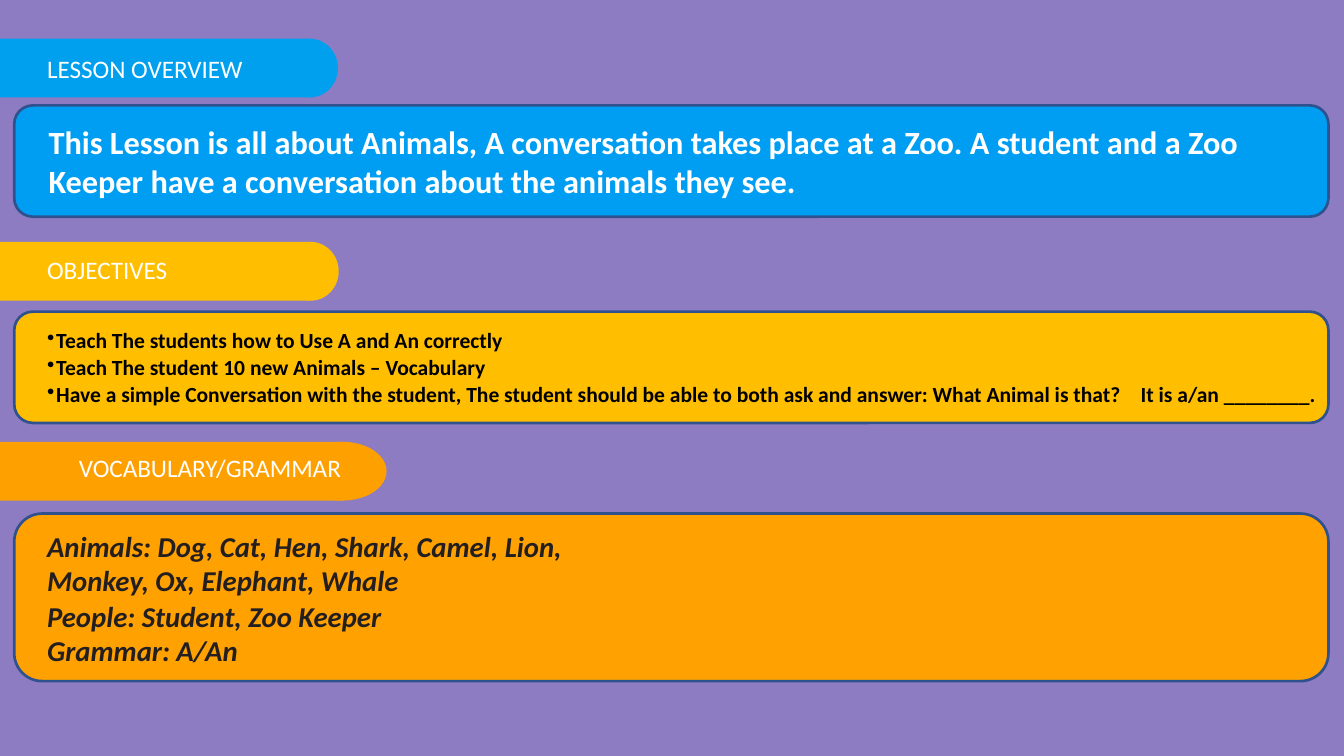
from lxml import etree
from pptx import Presentation
from pptx import util as u
from pptx.dml.color import RGBColor
from pptx.enum import shapes, text
from pptx.oxml import ns


def colour(value):
    return RGBColor.from_string(value)


class LessonSlide:
    font = "Calibri"
    background = "8E7CC3"
    border = "2F528F"
    white = "FFFFFF"

    def __init__(self, presentation):
        self.slide = presentation.slides.add_slide(presentation.slide_layouts[6])
        fill = self.slide.background.fill
        fill.solid()
        fill.fore_color.rgb = colour(self.background)

    def shape(self, kind, left, top, width, height, fill):
        shape = self.slide.shapes.add_shape(
            kind, u.Cm(left), u.Cm(top), u.Cm(width), u.Cm(height))
        shape.shadow.inherit = False
        shape.fill.solid()
        shape.fill.fore_color.rgb = colour(fill)
        shape.line.fill.background()
        return shape

    def panel(self, top, height, fill):
        panel = self.shape(shapes.MSO_SHAPE.ROUNDED_RECTANGLE, 0.56, top, 51.64, height, fill)
        panel.line.color.rgb = colour(self.border)
        panel.line.width = u.Pt(3)

    def tab(self, top, length, radius, fill):
        height = 2.31
        self.shape(shapes.MSO_SHAPE.RECTANGLE, 0, top, length, height, fill)
        self.shape(shapes.MSO_SHAPE.OVAL, length - radius, top, 2 * radius, height, fill)

    def bullet(self, paragraph, tint, tab_stop):
        properties = paragraph._p.get_or_add_pPr()
        properties.set("marL", str(u.Cm(0.36)))
        properties.set("indent", str(u.Cm(-0.43)))
        bullet_colour = etree.SubElement(properties, ns.qn("a:buClr"))
        etree.SubElement(bullet_colour, ns.qn("a:srgbClr"), val=tint)
        etree.SubElement(properties, ns.qn("a:buChar"), char="•")
        stops = etree.SubElement(properties, ns.qn("a:tabLst"))
        etree.SubElement(stops, ns.qn("a:tab"), pos=str(u.Cm(tab_stop)), algn="l")

    def words(self, left, top, width, height, lines, size, tint,
              bold=False, italic=False, tab_stop=None):
        box = self.slide.shapes.add_textbox(u.Cm(left), u.Cm(top), u.Cm(width), u.Cm(height))
        frame = box.text_frame
        frame.word_wrap = True
        frame.vertical_anchor = text.MSO_ANCHOR.TOP
        frame.margin_left = frame.margin_right = frame.margin_bottom = 0
        frame.margin_top = u.Cm(0.03)
        frame.text = "\n".join(lines)
        for index, paragraph in enumerate(frame.paragraphs):
            if tab_stop:
                self.bullet(paragraph, tint, tab_stop)
            if index:
                paragraph.space_before = u.Pt(1)
            for run in paragraph.runs:
                run.font.name = self.font
                run.font.size = u.Pt(size)
                run.font.bold = bold
                run.font.italic = italic
                run.font.color.rgb = colour(tint)


def main():
    presentation = Presentation()
    presentation.slide_width = u.Cm(52.81)
    presentation.slide_height = u.Cm(29.69)
    lesson = LessonSlide(presentation)

    for top, height, fill in [(4.14, 4.37, "009EF3"),
                              (12.24, 4.37, "FFBF00"),
                              (20.17, 6.58, "FFA100")]:
        lesson.panel(top, height, fill)

    headings = [
        ("LESSON OVERVIEW", 1.52, 12.18, 1.1, "00A0EF", 1.85, 2.06),
        ("OBJECTIVES", 9.5, 12.21, 1.1, "FFBF00", 1.85, 9.96),
        ("VOCABULARY/GRAMMAR", 17.35, 13.46, 1.73, "FFA001", 3.1, 17.73),
    ]
    for heading, top, length, radius, fill, text_left, text_top in headings:
        lesson.tab(top, length, radius, fill)
        lesson.words(text_left, text_top, 11.5, 1.24, [heading], 28, lesson.white)

    overview = ["This Lesson is all about Animals, A conversation takes place at a Zoo. "
                "A student and a Zoo Keeper have a conversation about the animals they see."]
    objectives = [
        "Teach The students how to Use A and An correctly",
        "Teach The student 10 new Animals – Vocabulary",
        "Have a simple Conversation with the student, The student should be able to both "
        "ask and answer: What Animal is that?\tIt is a/an ________.",
    ]
    vocabulary = [
        "Animals: Dog, Cat, Hen, Shark, Camel, Lion, Monkey, Ox, Elephant, Whale",
        "People: Student, Zoo Keeper\vGrammar: A/An",
    ]
    lesson.words(1.91, 4.78, 47.83, 3.1, overview, 36, lesson.white, bold=True)
    lesson.words(1.85, 12.83, 50.34, 3.18, objectives, 24, "000000", bold=True, tab_stop=42.97)
    lesson.words(1.85, 20.73, 20.83, 5.51, vocabulary, 32, "231F20", bold=True, italic=True)

    presentation.save("out.pptx")


if __name__ == "__main__":
    main()
